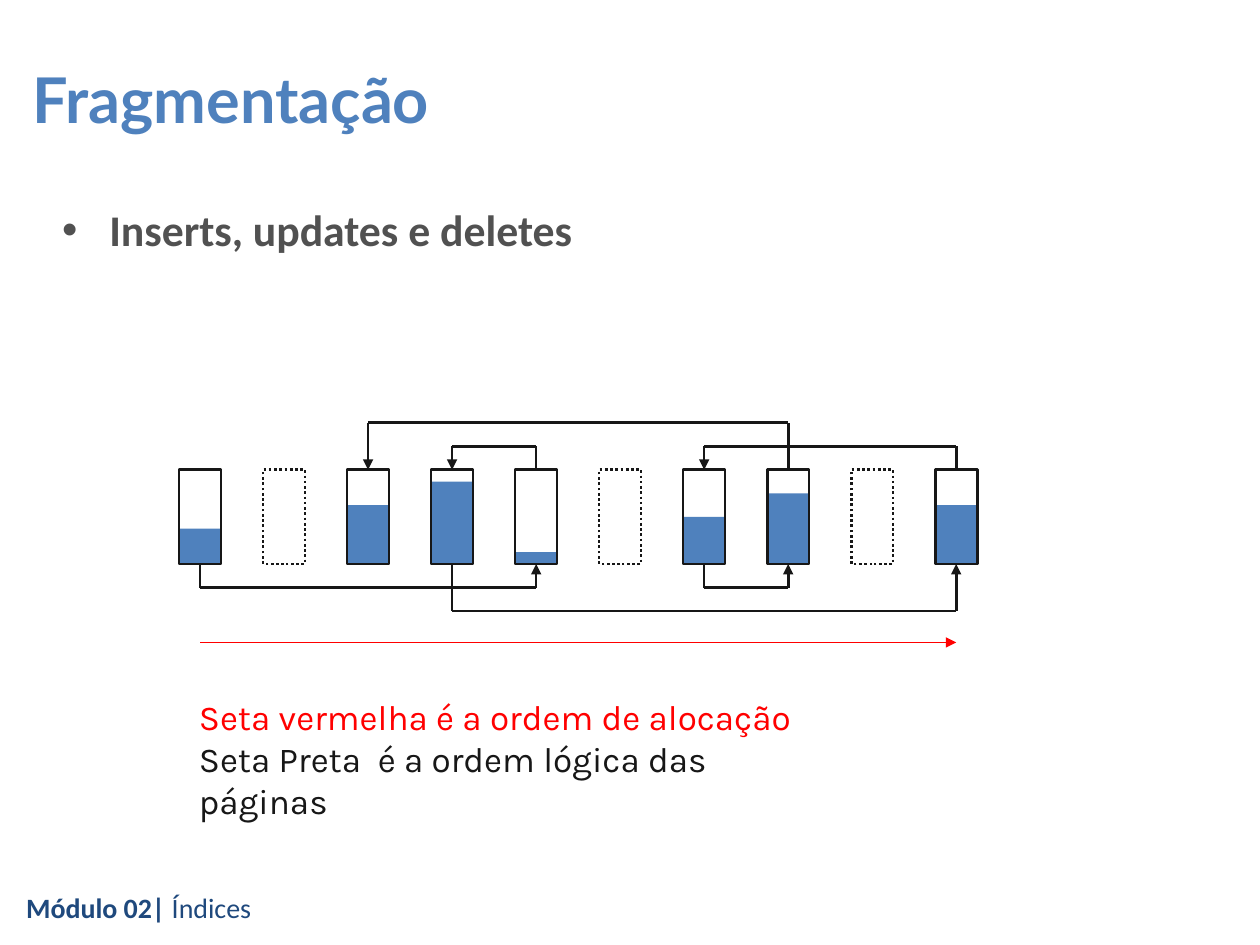
from collections import namedtuple

from lxml import etree
from pptx import Presentation
from pptx.dml.color import RGBColor
from pptx.enum.dml import MSO_LINE
from pptx.enum.shapes import MSO_CONNECTOR, MSO_SHAPE
from pptx.enum.text import MSO_ANCHOR, MSO_AUTO_SIZE, PP_ALIGN
from pptx.oxml.ns import qn
from pptx.util import Cm, Pt

RECTANGLE = MSO_SHAPE.RECTANGLE
STRAIGHT = MSO_CONNECTOR.STRAIGHT
DOTTED = MSO_LINE.ROUND_DOT
LEFT = PP_ALIGN.LEFT
TOP, MIDDLE = MSO_ANCHOR.TOP, MSO_ANCHOR.MIDDLE
NO_AUTOFIT = MSO_AUTO_SIZE.NONE

BLUE = RGBColor(0x4F, 0x81, 0xBD)
NAVY = RGBColor(0x1F, 0x49, 0x7D)
GREY = RGBColor(0x51, 0x51, 0x51)
BLACK = RGBColor(0x17, 0x17, 0x17)
RED = RGBColor(0xFF, 0x00, 0x00)
WHITE = RGBColor(0xFF, 0xFF, 0xFF)

Box = namedtuple("Box", "left top width height")

# Filled eighths of each page in allocation order; None is a free slot
PAGE_LEVELS = [3, None, 5, 7, 1, None, 4, 6, None, 5]
# Logical order: from page, to page, side (1 below, -1 above), distance in quarter pages
PAGE_LINKS = [
    (0, 4, 1, 1),
    (4, 3, -1, 1),
    (3, 9, 1, 2),
    (9, 6, -1, 1),
    (6, 7, 1, 1),
    (7, 2, -1, 2),
]


def place(shape, box):
    shape.left, shape.top, shape.width, shape.height = box


def add_run(para, text, font_name, size, color, bold=False):
    span = para.add_run()
    span.text = text
    span.font.name = font_name
    span.font.size = Pt(size)
    span.font.bold = bold
    span.font.color.rgb = color


def add_text_box(page, box):
    frame = page.shapes.add_textbox(*box).text_frame
    frame.word_wrap = True
    return frame


def add_rectangle(group, box, fill=None, line=None, dash=None):
    shape = group.shapes.add_shape(RECTANGLE, *box)
    shape.shadow.inherit = False
    if fill is None:
        shape.fill.background()
    else:
        shape.fill.solid()
        shape.fill.fore_color.rgb = fill
    if line is None:
        shape.line.fill.background()
    else:
        shape.line.color.rgb = line
        shape.line.width = Pt(1.5)
        shape.line.dash_style = dash


def add_line(parent, start, end, color, width, arrow=False):
    line = parent.shapes.add_connector(STRAIGHT, *start, *end)
    line.line.color.rgb = color
    line.line.width = Pt(width)
    if arrow:
        etree.SubElement(line.get_or_add_ln(), qn("a:tailEnd"), type="triangle")
    etree.SubElement(line.element.spPr, qn("a:effectLst"))


def fill_title(page, box):
    title = page.shapes.title
    place(title, box)
    frame = title.text_frame
    frame.auto_size = NO_AUTOFIT
    frame.vertical_anchor = MIDDLE
    para = frame.paragraphs[0]
    para.alignment = LEFT
    add_run(para, "Fragmentação", "Lato", 36, BLUE, bold=True)


def fill_body(page, box):
    body = page.placeholders[1]
    place(body, box)
    frame = body.text_frame
    frame.auto_size = NO_AUTOFIT
    frame.vertical_anchor = TOP
    para = frame.paragraphs[0]
    properties = para._p.get_or_add_pPr()
    properties.set("marL", str(Cm(0.95)))
    properties.set("indent", str(-Cm(0.95)))
    etree.SubElement(properties, qn("a:buChar"), char="•")
    para.space_before = Pt(0)
    add_run(para, "Inserts, updates e deletes", "Calibri", 25, GREY, bold=True)


def add_page_row(page, box):
    """Draw the data pages, their links and the allocation arrow under them."""
    group = page.shapes.add_group_shape()
    page_width = box.width / (2 * len(PAGE_LEVELS) - 1)
    bottom = box.top + box.height

    def center(index):
        return int(box.left + page_width * (2 * index + 0.5))

    for index, level in enumerate(PAGE_LEVELS):
        left = int(box.left + page_width * 2 * index)
        slot = Box(left, box.top, int(page_width), box.height)
        if level is None:
            add_rectangle(group, slot, WHITE, BLACK, DOTTED)
            continue
        used = int(box.height * level / 8)
        add_rectangle(group, slot, WHITE)
        add_rectangle(group, slot._replace(top=bottom - used, height=used), BLUE)
        add_rectangle(group, slot, line=BLACK)

    for source, target, side, distance in PAGE_LINKS:
        edge = bottom if side > 0 else box.top
        track = int(edge + side * distance * box.height / 4)
        points = [
            (center(source), edge),
            (center(source), track),
            (center(target), track),
            (center(target), edge),
        ]
        for start, end in zip(points, points[1:]):
            add_line(group, start, end, BLACK, 1.5, arrow=end == points[-1])

    arrow_top = bottom + Cm(1.58)
    last = len(PAGE_LEVELS) - 1
    add_line(page, (center(0), arrow_top), (center(last), arrow_top), RED, 0.75, arrow=True)


def add_legend(page, box):
    frame = add_text_box(page, box)
    add_run(frame.paragraphs[0], "Seta vermelha é a ordem de alocação", "Karla", 20, RED)
    add_run(frame.add_paragraph(), "Seta Preta  é a ordem lógica das páginas", "Karla", 20, BLACK)


def add_module_footer(page, box):
    para = add_text_box(page, box).paragraphs[0]
    add_run(para, "Módulo 02|", "Calibri", 16, NAVY, bold=True)
    add_run(para, " Índices", "Calibri", 16, NAVY)


def main():
    deck = Presentation()
    deck.slide_width, deck.slide_height = Cm(25.4), Cm(19.05)
    page = deck.slides.add_slide(deck.slide_layouts[1])
    add_module_footer(page, Box(Cm(0.28), Cm(17.83), Cm(21.74), Cm(1.02)))
    fill_title(page, Box(Cm(0.4), Cm(1), Cm(25), Cm(1.98)))
    fill_body(page, Box(Cm(1), Cm(3.96), Cm(23.2), Cm(12.3)))
    add_legend(page, Box(Cm(3.76), Cm(13.89), Cm(13.36), Cm(1.85)))
    add_page_row(page, Box(Cm(3.61), Cm(9.47), Cm(16.09), Cm(1.9)))
    deck.save("out.pptx")


if __name__ == "__main__":
    main()
